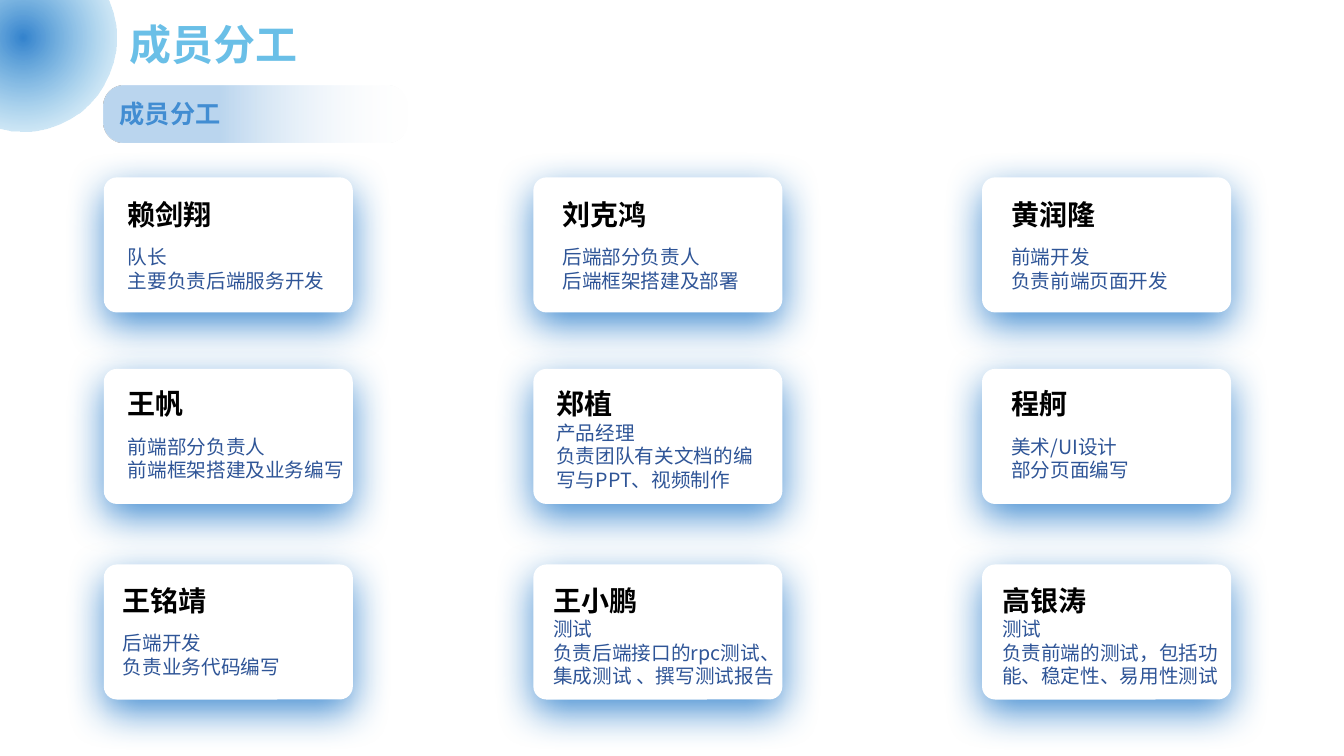
import lxml.etree
import pptx
import pptx.dml.color
import pptx.enum.shapes
import pptx.enum.text
import pptx.oxml.ns
import pptx.util

FACE = "Noto Sans CJK SC"
BLUE, SKY, WHITE = "3484CE", "6ABFE7", "FFFFFF"
Inches, Pt = pptx.util.Inches, pptx.util.Pt
SHAPE = pptx.enum.shapes.MSO_SHAPE
ANCHOR = pptx.enum.text.MSO_ANCHOR
ALIGN = pptx.enum.text.PP_ALIGN
FIT = pptx.enum.text.MSO_AUTO_SIZE

COLS = [1.03, 5.29, 9.74]
ROWS = [(1.76, 0.15), (3.66, 0.13), (5.6, 0.14)]
TEAM = [
    [("赖剑翔", ["队长", "主要负责后端服务开发"], 0.14, 2.15, 10),
     ("刘克鸿", ["后端部分负责人", "后端框架搭建及部署"], 0.19, 2.05, 10),
     ("黄润隆", ["前端开发", "负责前端页面开发"], 0.19, 1.92, 10)],
    [("王帆", ["前端部分负责人", "前端框架搭建及业务编写"], 0.14, 2.47, 10),
     ("郑植", ["产品经理", "负责团队有关文档的编写与PPT、视频制作"], 0.13, 2.27, 0),
     ("程舸", ["美术/UI设计", "部分页面编写"], 0.19, 1.61, 10)],
    [("王铭靖", ["后端开发", "负责业务代码编写"], 0.09, 2.08, 10),
     ("王小鹏", ["测试", "负责后端接口的rpc测试、集成测试 、撰写测试报告"], 0.1, 2.47, 0),
     ("高银涛", ["测试", "负责前端的测试，包括功能、稳定性、易用性测试"], 0.1, 2.46, 0)],
]


def color(code):
    """Turn a hex string into a colour."""
    return pptx.dml.color.RGBColor.from_string(code)


def node(home, tag, **attrs):
    """Add an XML child with the given attributes."""
    kid = lxml.etree.SubElement(home, pptx.oxml.ns.qn(tag))
    for key, value in attrs.items():
        kid.set(key, str(value))
    return kid


def assign(item, values):
    """Set each attribute of an item from a dict."""
    for key, value in values.items():
        setattr(item, key, value)


def write(para, text, size, code, bold):
    """Write one run in the slide's font."""
    run = para.add_run()
    run.text = text
    assign(run.font, {"size": Pt(size), "bold": bold, "name": FACE})
    run.font.color.rgb = color(code)
    node(run.font._element, "a:ea", typeface=FACE)
    return run


def blend(fill, stops, angle):
    """Fill with a gradient of (place, colour, opacity) stops."""
    fill.gradient()
    fill.gradient_angle = angle
    for stop, (place, code, alpha) in zip(fill.gradient_stops, stops):
        stop.position = place
        stop.color.rgb = color(code)
        if alpha < 100:
            tint = stop._gs.find(".//" + pptx.oxml.ns.qn("a:srgbClr"))
            node(tint, "a:alpha", val=alpha * 1000)


def plain(slide, kind, box):
    """Add a shape without line or shadow."""
    shape = slide.shapes.add_shape(kind, *map(Inches, box))
    shape.shadow.inherit = False
    shape.line.fill.background()
    return shape


def title(slide, box):
    """Place the slide title."""
    head = slide.shapes.title
    names = ("left", "top", "width", "height")
    assign(head, dict(zip(names, map(Inches, box))))
    frame = head.text_frame
    assign(frame, {"margin_left": 0, "margin_top": 0, "margin_right": 0,
                   "margin_bottom": 0, "word_wrap": True,
                   "auto_size": FIT.NONE, "vertical_anchor": ANCHOR.TOP})
    para = frame.paragraphs[0]
    assign(para, {"alignment": ALIGN.LEFT, "line_spacing": 1.0,
                  "space_before": Pt(0)})
    run = write(para, "成员分工", 30, SKY, True)
    blend(run.font.fill, [(0, SKY, 100), (1, BLUE, 100)], 225)


def banner(slide, box):
    """Draw the fading subtitle bar."""
    bar = plain(slide, SHAPE.ROUNDED_RECTANGLE, box)
    bar.adjustments[0] = 0.364
    blend(bar.fill, [(0, WHITE, 0), (0.62, "BBD6EF", 100)], 180)
    bar.text_frame.vertical_anchor = ANCHOR.MIDDLE
    para = bar.text_frame.paragraphs[0]
    para.alignment = ALIGN.LEFT
    write(para, "成员分工", 18, "428DD2", True)


def orb(slide, box):
    """Draw the glowing corner circle."""
    ball = plain(slide, SHAPE.OVAL, box)
    blend(ball.fill, [(0, BLUE, 100), (1, SKY, 0)], 0)
    grad = ball._element.spPr.find(pptx.oxml.ns.qn("a:gradFill"))
    grad.remove(grad.find(pptx.oxml.ns.qn("a:lin")))
    ring = node(grad, "a:path", path="circle")
    node(ring, "a:fillToRect", l=50000, t=50000, r=50000, b=50000)


def card(slide, box, pad, member):
    """Draw one member's card with its text."""
    name, lines, inset, width, gap = member
    left, top = box[:2]
    panel = plain(slide, SHAPE.ROUNDED_RECTANGLE, box)
    panel.adjustments[0] = 0.097
    panel.fill.solid()
    panel.fill.fore_color.rgb = color(WHITE)
    effect = panel._element.spPr.find(pptx.oxml.ns.qn("a:effectLst"))
    glow = node(effect, "a:outerShdw", blurRad=Pt(29), dist=Pt(9),
                dir=5400000, algn="ctr", rotWithShape=0)
    node(node(glow, "a:srgbClr", val=BLUE), "a:alpha", val=91000)
    area = (left + inset, top + pad, width, 1.04 if gap else 1.14)
    frame = slide.shapes.add_textbox(*map(Inches, area)).text_frame
    assign(frame, {"word_wrap": True, "auto_size": FIT.SHAPE_TO_FIT_TEXT})
    write(frame.paragraphs[0], name, 20, "000000", True)
    frame.paragraphs[0].space_after = Pt(gap)
    for line in lines:
        write(frame.add_paragraph(), line, 14, "2F5597", False)


def main():
    """Build and save the team slide."""
    deck = pptx.Presentation()
    assign(deck, {"slide_width": Inches(13.33), "slide_height": Inches(7.5)})
    slide = deck.slides.add_slide(deck.slide_layouts[5])
    title(slide, (1.28, 0.18, 4.45, 0.45))
    banner(slide, (1.03, 0.85, 3.01, 0.56))
    orb(slide, (-0.7, -0.56, 1.86, 1.86))
    for (top, pad), group in zip(ROWS, TEAM):
        for left, member in zip(COLS, group):
            card(slide, (left, top, 2.47, 1.34), pad, member)
    deck.save("out.pptx")


if __name__ == "__main__":
    main()
